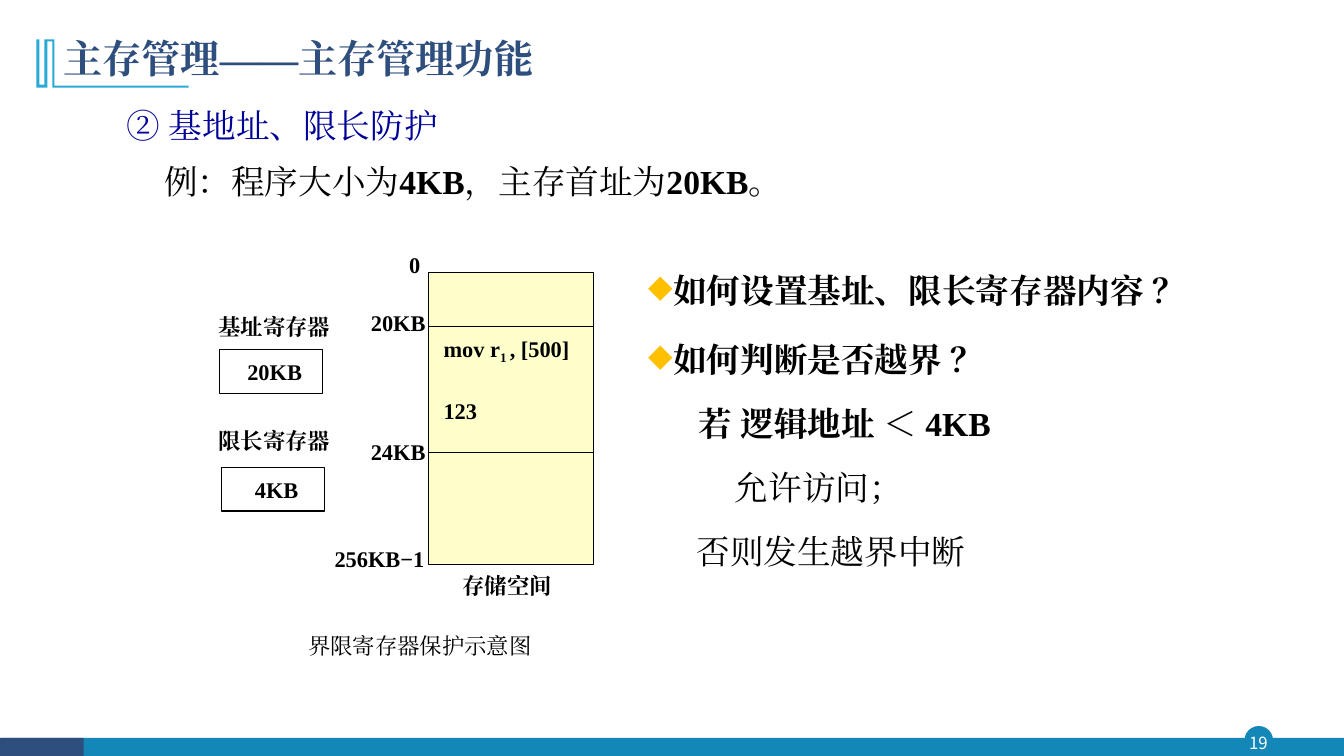
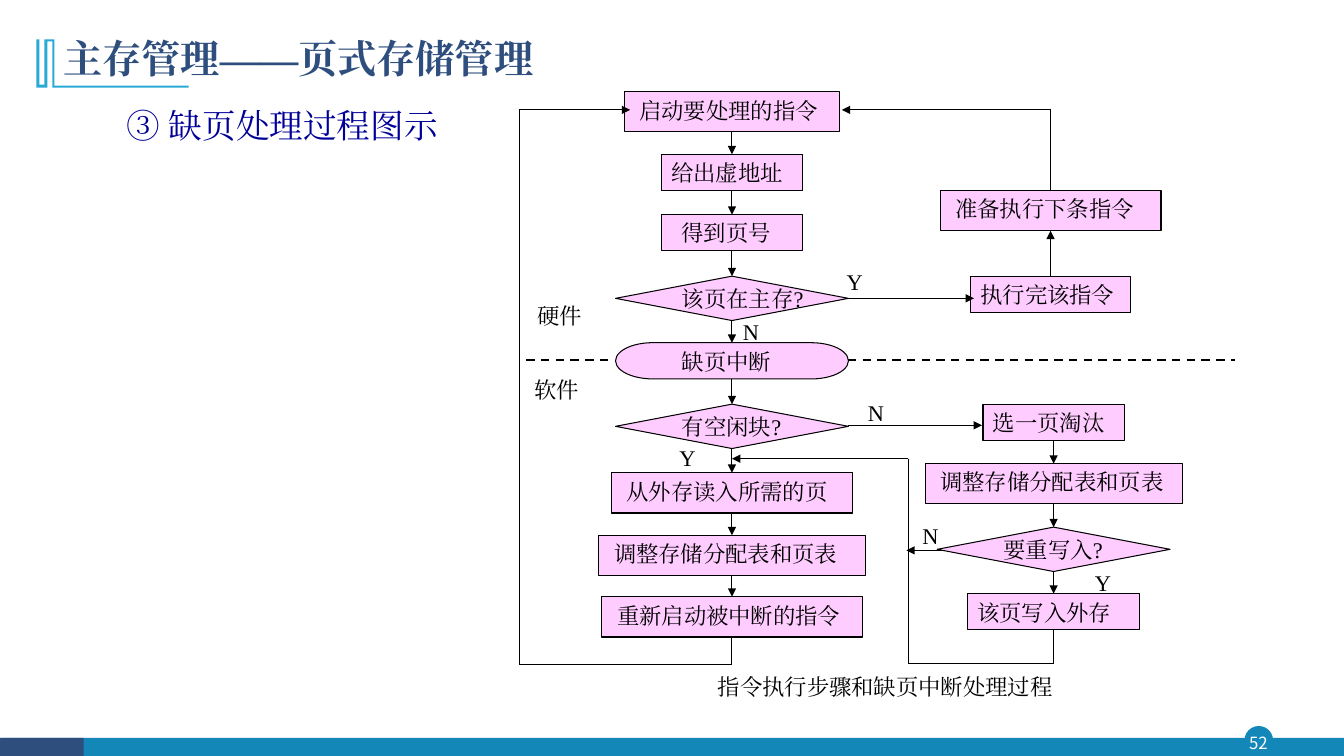
from pptx import Presentation
from pptx.dml.color import RGBColor
from pptx.enum.dml import MSO_LINE
from pptx.enum.shapes import MSO_CONNECTOR, MSO_SHAPE
from pptx.enum.text import MSO_ANCHOR, PP_ALIGN
from pptx.oxml.ns import qn
from pptx.util import Inches, Pt
from lxml.etree import SubElement

SANS, SERIF = "Noto Sans CJK SC", "Times New Roman"
BLACK, WHITE, NAVY, TEAL, CYAN = "000000", "FFFFFF", "2E4E7E", "1387B7", "28A9D6"
HEADING, AMBER, CREAM, PINK = "000099", "FFC000", "FFFFCC", "FFCCFF"

TITLE_MARK = [
    (0.54, 0.39), (0.54, 0.85), (1.87, 0.85), (1.87, 0.87), (0.52, 0.87), (0.52, 0.41),
    (0.47, 0.41), (0.47, 0.87), (0.36, 0.87), (0.36, 0.39), (0.39, 0.39), (0.39, 0.84),
    (0.44, 0.84), (0.44, 0.39),
]

PROTECTION_TITLE, PROTECTION_PAGE = "主存管理——主存管理功能", "19"
PROTECTION_HEADING = "② 基地址、限长防护"
EXAMPLE = [("例：程序大小为", False), ("4KB", True), ("，主存首址为", False), ("20KB", True), ("。", False)]
QUESTIONS = ["如何设置基址、限长寄存器内容 ？", "如何判断是否越界 ？"]
ANSWERS = [("若 逻辑地址 ＜ 4KB", 1.13, True), ("允许访问；", 1.49, False), ("否则发生越界中断", 1.11, False)]
MEMORY = (4.25, 2.7, 1.64, 2.9)
MEMORY_BOUNDS = [3.24, 4.49]
MEMORY_LABELS = [
    ("0", 3.96, 2.44, 0.4),
    ("20KB", 3.58, 3.02, 0.88),
    ("24KB", 3.58, 4.3, 0.9),
    ("256KB−1", 3.22, 5.36, 1.19),
    ("存储空间", 4.49, 5.63, 1.15),
]
REGISTERS = [("基址寄存器", "20KB", 3.06, 2.18, 3.47), ("限长寄存器", "4KB", 4.19, 2.2, 4.64)]
PROTECTION_CAPTION = ("界限寄存器保护示意图", 2.96, 6.22, 2.68)

FAULT_TITLE, FAULT_PAGE = "主存管理——页式存储管理", "52"
FAULT_HEADING = "③ 缺页处理过程图示"
STEP, WIDE, TEST, INTERRUPT = "step", "wide", "test", "interrupt"
STEP_STYLES = {
    STEP: (MSO_SHAPE.RECTANGLE, 0.36, 0.1),
    WIDE: (MSO_SHAPE.RECTANGLE, 0.4, 0.15),
    TEST: (MSO_SHAPE.FLOWCHART_DECISION, 0.44, None),
    INTERRUPT: (MSO_SHAPE.FLOWCHART_TERMINATOR, 0.36, None),
}
CHAINS = [
    (7.26, [
        (WIDE, "启动要处理的指令", 0.91, 2.14),
        (STEP, "给出虚地址", 1.53, 1.4),
        (STEP, "得到页号", 2.13, 1.4),
        (TEST, "该页在主存?", 2.74, 2.31),
        (INTERRUPT, "缺页中断", 3.4, 2.31),
        (TEST, "有空闲块?", 4.01, 2.31),
        (WIDE, "从外存读入所需的页", 4.69, 2.39),
        (WIDE, "调整存储分配表和页表", 5.31, 2.64),
        (WIDE, "重新启动被中断的指令", 5.92, 2.58),
    ]),
    (10.42, [
        (STEP, "执行完该指令", 2.74, 1.59),
        (WIDE, "准备执行下条指令", 1.89, 2.19),
    ]),
    (10.45, [
        (STEP, "选一页淘汰", 4.01, 1.4),
        (WIDE, "调整存储分配表和页表", 4.6, 2.55),
        (TEST, "要重写入?", 5.23, 2.31),
        (STEP, "该页写入外存", 5.89, 1.71),
    ]),
]
EXTRA_INDENT = {"得到页号": 0.1}
ROUTES = [
    [(7.26, 6.32), (7.26, 6.59), (5.15, 6.59), (5.15, 1.09), (6.25, 1.09)],
    [(8.41, 2.96), (9.66, 2.96)],
    [(10.42, 1.89), (10.42, 1.09), (8.35, 1.09)],
    [(8.41, 4.22), (9.74, 4.22)],
    [(10.45, 6.25), (10.45, 6.58), (9.01, 6.58), (9.01, 4.55), (7.26, 4.55)],
    [(9.36, 5.46), (8.99, 5.46)],
]
LAYER_BORDER_Y, LAYER_BORDER = 3.57, [(5.22, 6.08), (8.41, 12.25)]
FLOW_LABELS = [
    ("Y", 6.64, 4.36), ("N", 8.51, 3.91), ("N", 7.27, 3.11), ("Y", 8.3, 2.61),
    ("Y", 10.76, 5.6), ("N", 9.05, 5.13), ("硬件", 5.23, 2.95), ("软件", 5.2, 3.68),
]
FAULT_CAPTION = ("指令执行步骤和缺页中断处理过程", 7.02, 6.63, 3.79)


def rgb(value):
    return RGBColor.from_string(value)


def add_bullet(properties):
    SubElement(SubElement(properties, qn("a:buClr")), qn("a:srgbClr"), val=AMBER)
    SubElement(properties, qn("a:buSzPct"), val="95000")
    SubElement(properties, qn("a:buChar"), char="◆")


def write(paragraph, content, size=16, color=BLACK, bold=False, name=SERIF, align=None,
          spacing=None, before=None, margin=0, hanging=0, bullet=False):
    runs = [(content, None)] if isinstance(content, str) else content
    properties = paragraph._p.get_or_add_pPr()
    if margin:
        properties.set("marL", str(Inches(margin)))
        properties.set("indent", str(-Inches(hanging)))
    if bullet:
        add_bullet(properties)
    paragraph.alignment = align
    paragraph.line_spacing = spacing
    if before:
        paragraph.space_before = Pt(before)
    font = paragraph.font
    font.size, font.bold, font.name = Pt(size), bold, name
    font.color.rgb = rgb(color)
    SubElement(properties.find(qn("a:defRPr")), qn("a:ea"), typeface=SERIF)
    for words, run_bold in runs:
        run = paragraph.add_run()
        run.text = words
        if run_bold is not None:
            run.font.bold = run_bold


def add_text(slide, left, top, width, height, *paragraphs):
    frame = slide.shapes.add_textbox(*map(Inches, (left, top, width, height))).text_frame
    frame.word_wrap = True
    for index, (content, style) in enumerate(paragraphs):
        write(frame.add_paragraph() if index else frame.paragraphs[0], content, **style)
    return frame


def add_label(slide, words, left, top, width, **style):
    add_text(slide, left, top, width, 0.37, (words, style))


def paint(shape, fill, line=None, weight=0.75):
    shape.shadow.inherit = False
    shape.fill.solid()
    shape.fill.fore_color.rgb = rgb(fill)
    if line:
        shape.line.color.rgb = rgb(line)
        shape.line.width = Pt(weight)
    else:
        shape.line.fill.background()


def add_block(slide, kind, bounds, fill, line=None, weight=0.75):
    shape = slide.shapes.add_shape(kind, *map(Inches, bounds))
    paint(shape, fill, line, weight)
    return shape


def add_line(slide, start, end, arrow=False, dashed=False):
    line = slide.shapes.add_connector(MSO_CONNECTOR.STRAIGHT, *map(Inches, start + end))
    line.line.color.rgb = rgb(BLACK)
    line.line.width = Pt(1.5 if dashed else 0.75)
    if dashed:
        line.line.dash_style = MSO_LINE.DASH
    properties = line._element.spPr
    if arrow:
        SubElement(properties.find(qn("a:ln")), qn("a:tailEnd"), type="triangle")
    SubElement(properties, qn("a:effectLst"))


def add_page(deck, title, page, heading, *body):
    slide = deck.slides.add_slide(deck.slide_layouts[6])
    add_block(slide, MSO_SHAPE.OVAL, (12.35, 7.21, 0.27, 0.27), TEAL, TEAL, 1)
    add_block(slide, MSO_SHAPE.RECTANGLE, (0.01, 7.32, 13.32, 0.19), TEAL)
    add_block(slide, MSO_SHAPE.RECTANGLE, (0, 7.32, 0.83, 0.19), NAVY)
    number = add_text(slide, 12.32, 7.21, 0.32, 0.31,
                      (page, dict(size=12, color=WHITE, name=SANS, align=PP_ALIGN.CENTER)))
    number.vertical_anchor = MSO_ANCHOR.MIDDLE
    number.margin_left = number.margin_right = number.margin_top = number.margin_bottom = 0
    corners = [(Inches(x), Inches(y)) for x, y in TITLE_MARK]
    outline = slide.shapes.build_freeform(*corners[0])
    outline.add_line_segments(corners[1:], close=True)
    paint(outline.convert_to_shape(), CYAN)
    add_text(slide, 0.53, 0.34, 10.49, 0.56,
             (title, dict(size=28, color=NAVY, bold=True, name=SANS, spacing=0.9)))
    add_text(slide, 0.53, 0.91, 9.16 if body else 4.1, 1.14 if body else 0.58,
             (heading, dict(size=24, color=HEADING, spacing=1.2, margin=1, hanging=0.37)), *body)
    return slide


def draw_memory(slide):
    left, _, width, _ = MEMORY
    memory = add_block(slide, MSO_SHAPE.RECTANGLE, MEMORY, CREAM, BLACK)
    frame = memory.text_frame
    frame.vertical_anchor = MSO_ANCHOR.TOP
    frame.margin_left, frame.margin_top, frame.margin_right = Inches(0.15), Inches(0.62), 0
    instruction = frame.paragraphs[0]
    write(instruction, [("mov r", None), ("1 ", None), (", [500]", None)], bold=True, align=PP_ALIGN.LEFT)
    instruction.runs[1]._r.get_or_add_rPr().set("baseline", "-25000")
    write(frame.add_paragraph(), "123", bold=True, align=PP_ALIGN.LEFT, before=23)
    for y in MEMORY_BOUNDS:
        add_line(slide, (left, y), (left + width, y))
    for label in MEMORY_LABELS:
        add_label(slide, *label, bold=True)


def draw_registers(slide):
    for name, value, name_top, left, top in REGISTERS:
        add_label(slide, name, 2.07, name_top, 1.46, bold=True)
        register = add_block(slide, MSO_SHAPE.RECTANGLE, (left, top, 1.02, 0.43), WHITE, BLACK)
        register.text_frame.margin_right = Inches(0.03)
        write(register.text_frame.paragraphs[0], value, bold=True, align=PP_ALIGN.CENTER)


def build_protection(deck):
    slide = add_page(deck, PROTECTION_TITLE, PROTECTION_PAGE, PROTECTION_HEADING,
                     (EXAMPLE, dict(size=24, spacing=1.2, before=5.5, margin=1)))
    questions = [
        (words, dict(size=24, bold=True, name=SANS, spacing=1.5, before=6 * (index > 0),
                     margin=0.88, hanging=0.25, bullet=True))
        for index, words in enumerate(QUESTIONS)
    ]
    answers = [
        (words, dict(size=24, bold=bold, spacing=1.3, before=8.3, margin=margin))
        for words, margin, bold in ANSWERS
    ]
    add_text(slide, 5.7, 2.43, 6.34, 3.27, *questions, *answers)
    draw_memory(slide)
    draw_registers(slide)
    add_label(slide, *PROTECTION_CAPTION)


def draw_step(slide, center, kind, words, top, width):
    preset, height, margin = STEP_STYLES[kind]
    left = center - width / 2
    step = add_block(slide, preset, (left, top, width, height), PINK, BLACK)
    if margin is None:
        add_label(slide, words, left + 0.56, top + (height - 0.36) / 2, 1.6)
        return
    frame = step.text_frame
    frame.vertical_anchor = MSO_ANCHOR.TOP
    frame.margin_left = Inches(margin + EXTRA_INDENT.get(words, 0))
    frame.margin_right = Inches(0.05)
    write(frame.paragraphs[0], words, align=PP_ALIGN.LEFT)


def draw_chain(slide, center, steps):
    for step in steps:
        draw_step(slide, center, *step)
    spans = [(top, top + STEP_STYLES[kind][1]) for kind, _, top, _ in steps]
    for (top, bottom), (next_top, next_bottom) in zip(spans, spans[1:]):
        start, end = (bottom, next_top) if next_top > top else (top, next_bottom)
        add_line(slide, (center, start), (center, end), arrow=True)


def build_fault(deck):
    slide = add_page(deck, FAULT_TITLE, FAULT_PAGE, FAULT_HEADING)
    for chain in CHAINS:
        draw_chain(slide, *chain)
    for route in ROUTES:
        for start, end in zip(route, route[1:]):
            add_line(slide, start, end, arrow=end == route[-1])
    for start, end in LAYER_BORDER:
        add_line(slide, (start, LAYER_BORDER_Y), (end, LAYER_BORDER_Y), dashed=True)
    for label in FLOW_LABELS:
        add_label(slide, *label, 0.84)
    add_label(slide, *FAULT_CAPTION)


def main():
    deck = Presentation()
    deck.slide_width, deck.slide_height = Inches(13.33), Inches(7.5)
    build_protection(deck)
    build_fault(deck)
    deck.save("out.pptx")


if __name__ == "__main__":
    main()
